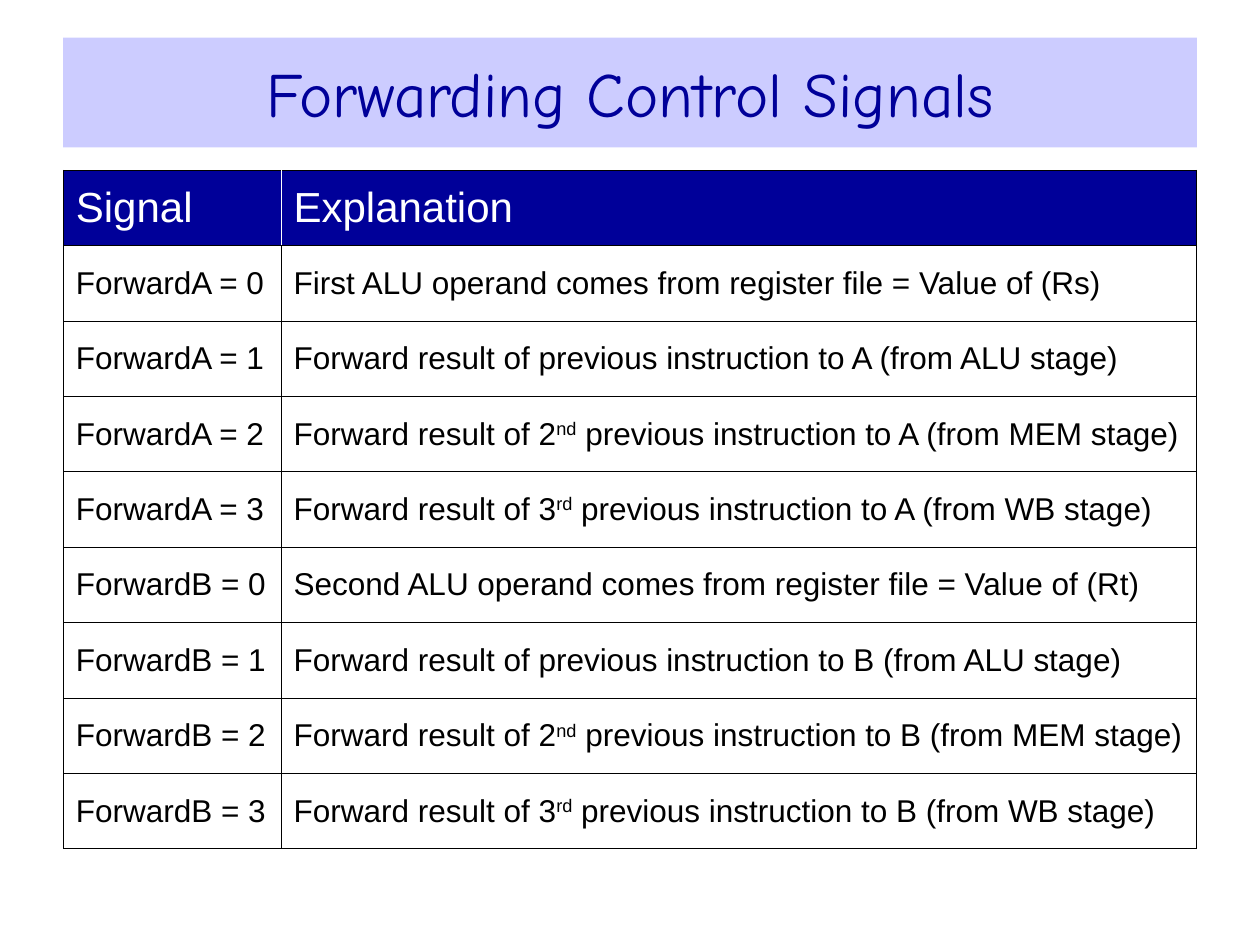
from dataclasses import dataclass

from lxml import etree
from pptx import Presentation
from pptx.dml.color import RGBColor
from pptx.enum.text import MSO_ANCHOR, PP_ALIGN
from pptx.oxml.ns import qn
from pptx.util import Cm, Pt

MIDDLE = MSO_ANCHOR.MIDDLE
CENTER = PP_ALIGN.CENTER
TITLE_ONLY = 5


@dataclass(frozen=True)
class Theme:
    navy: str = "000099"
    lavender: str = "CCCCFF"
    white: str = "FFFFFF"
    black: str = "000000"
    title_font: str = "Comic Neue"
    table_font: str = "Arial"
    title_size: int = 36
    header_size: int = 24
    body_size: int = 18
    border_width: float = 0.45


THEME = Theme()
HEADER = ("Signal", "Explanation")
OPERANDS = (("A", "First", "Rs"), ("B", "Second", "Rt"))
LATER_RESULTS = (("2", "nd", "MEM"), ("3", "rd", "WB"))
CELL_FORMAT = {
    "vertical_anchor": MIDDLE,
    "margin_left": Cm(0.25),
    "margin_right": Cm(0.13),
    "margin_top": Cm(0.13),
    "margin_bottom": Cm(0.13),
}


def signal_rows():
    """Yield each signal with its explanation as (before, ordinal, after)."""
    for operand, position, register in OPERANDS:
        explanations = [
            (f"{position} ALU operand comes from register file = Value of ({register})", "", ""),
            (f"Forward result of previous instruction to {operand} (from ALU stage)", "", ""),
        ]
        for number, ordinal, stage in LATER_RESULTS:
            explanations.append((
                f"Forward result of {number}",
                ordinal,
                f" previous instruction to {operand} (from {stage} stage)",
            ))
        for value, explanation in enumerate(explanations):
            yield (f"Forward{operand} = {value}", "", ""), explanation


def add_run(paragraph, text, font_name, size, color, raised=False):
    run = paragraph.add_run()
    run.text = text
    for attribute, value in {"name": font_name, "size": Pt(size)}.items():
        setattr(run.font, attribute, value)
    run.font.color.rgb = RGBColor.from_string(color)
    if raised:
        run.font._element.set("baseline", "30000")


def add_title(slide, text):
    title = slide.shapes.title
    box = {"left": Cm(1.27), "top": Cm(0.76), "width": Cm(22.86), "height": Cm(2.21)}
    for attribute, value in box.items():
        setattr(title, attribute, value)
    title.fill.solid()
    title.fill.fore_color.rgb = RGBColor.from_string(THEME.lavender)
    frame = title.text_frame
    frame.word_wrap = True
    frame.vertical_anchor = MIDDLE
    heading = frame.paragraphs[0]
    heading.alignment = CENTER
    add_run(heading, text, THEME.title_font, THEME.title_size, THEME.navy)


def set_borders(cell, **side_colors):
    properties = cell._tc.get_or_add_tcPr()
    for side in "LRTB":
        line = etree.SubElement(properties, qn(f"a:ln{side}"), w=str(Pt(THEME.border_width)))
        fill = etree.SubElement(line, qn("a:solidFill"))
        etree.SubElement(fill, qn("a:srgbClr"), val=side_colors.get(side, THEME.black))


def format_cell(cell, parts, size, color, fill=None, **side_colors):
    """Write the parts of a cell, raising the middle one, and style it."""
    for attribute, value in CELL_FORMAT.items():
        setattr(cell, attribute, value)
    set_borders(cell, **side_colors)
    if fill:
        cell.fill.solid()
        cell.fill.fore_color.rgb = RGBColor.from_string(fill)
    else:
        cell.fill.background()
    paragraph = cell.text_frame.paragraphs[0]
    for index, text in enumerate(parts):
        if text:
            add_run(paragraph, text, THEME.table_font, size, color, raised=index == 1)


def add_signal_table(slide):
    signals = list(signal_rows())
    column_widths = (Cm(4.39), Cm(18.45))
    row_height = Cm(1.52)
    row_count = len(signals) + 1
    table = slide.shapes.add_table(
        row_count, len(HEADER), Cm(1.28), Cm(3.43), sum(column_widths), row_height * row_count
    ).table
    table.first_row = True
    table.horz_banding = False
    for column, width in zip(table.columns, column_widths):
        column.width = width
    for row in table.rows:
        row.height = row_height

    for column, (label, inner_side) in enumerate(zip(HEADER, "RL")):
        format_cell(table.cell(0, column), (label,), THEME.header_size, THEME.white,
                    fill=THEME.navy, **{inner_side: THEME.white})
    for row, entries in enumerate(signals, start=1):
        for column, parts in enumerate(entries):
            format_cell(table.cell(row, column), parts, THEME.body_size, THEME.black)


def main():
    deck = Presentation()
    deck.slide_width, deck.slide_height = Cm(25.4), Cm(19.05)
    slide = deck.slides.add_slide(deck.slide_layouts[TITLE_ONLY])
    add_title(slide, "Forwarding Control Signals")
    add_signal_table(slide)
    deck.save("out.pptx")


if __name__ == "__main__":
    main()
